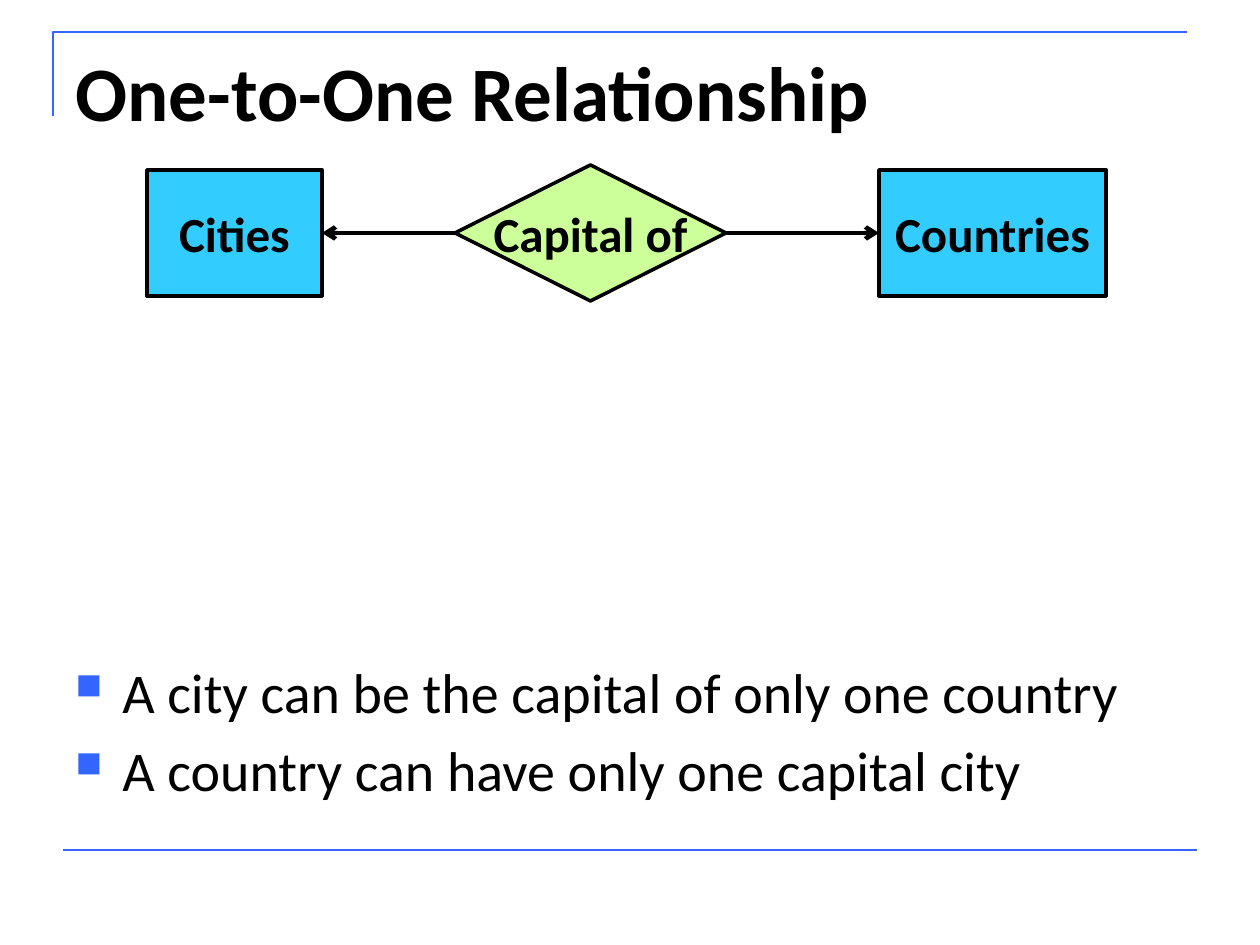
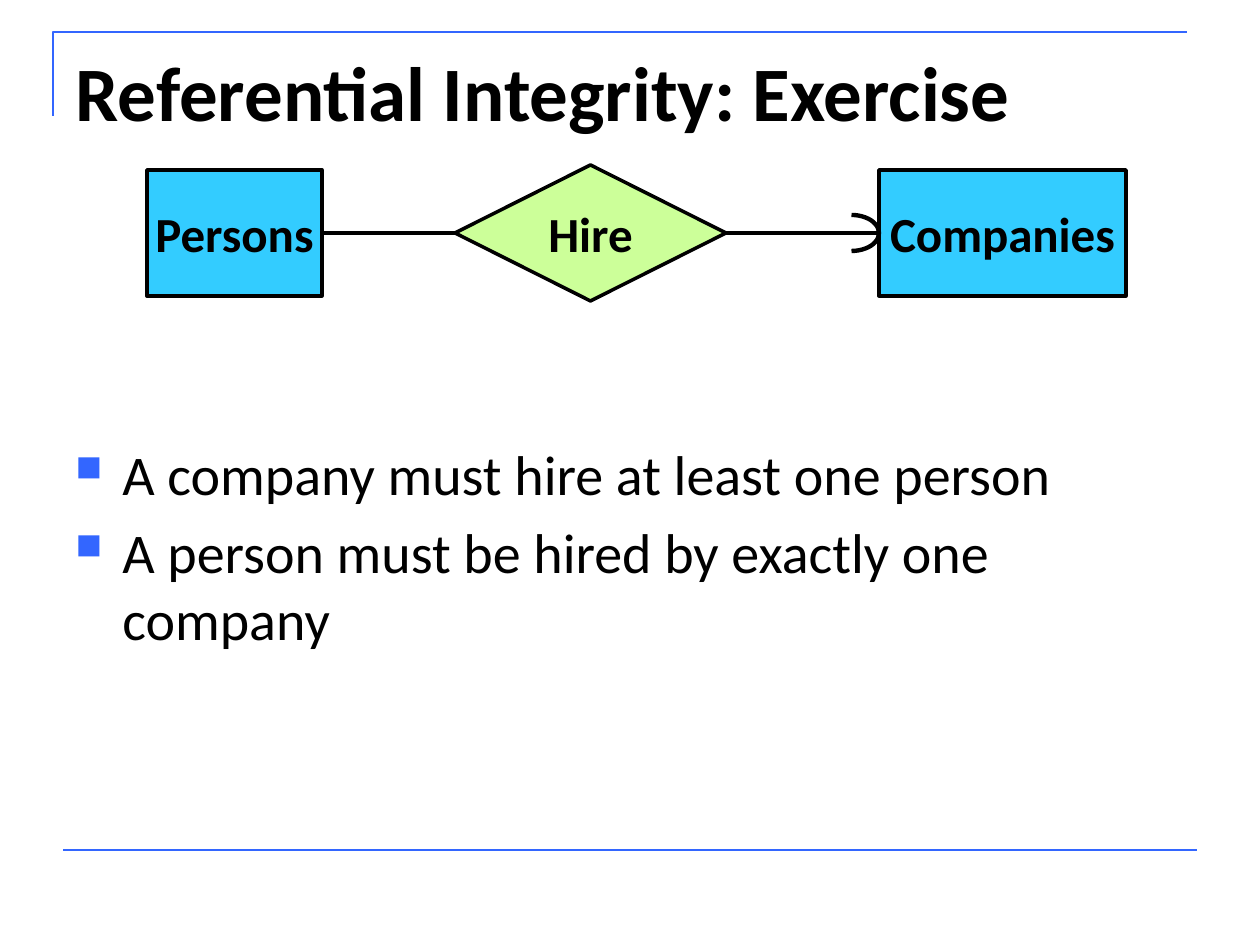
from lxml import etree
from pptx import Presentation
from pptx import util as u
from pptx.dml.color import RGBColor
from pptx.enum import shapes, text
from pptx.oxml.ns import qn

PX = u.Inches(1) / 126
FONT = "Calibri"
ACCENT = RGBColor(0x33, 0x66, 0xFF)
ENTITY = RGBColor(0x33, 0xCC, 0xFF)
RELATION = RGBColor(0xCC, 0xFF, 0x99)
BLACK = RGBColor(0, 0, 0)
FRAME_BOX = (53, 32, 1134, 84)
TITLE_BOX = (63, 38, 1134, 158)
DIAGRAM_BOX = (147, 165, 980, 136)
RULES_LEFT, RULES_WIDTH, RULES_BOTTOM = 63, 1134, 845
FOOTER_Y = 850


def px(*lengths):
    """Turn pixel lengths into EMU."""
    return [u.Emu(round(length * PX)) for length in lengths]


def write(frame, words, size, bold=False, align=text.PP_ALIGN.LEFT,
          anchor=text.MSO_ANCHOR.TOP, wrap=True, before=0):
    """Write one paragraph per item of words into a text frame."""
    frame.auto_size = text.MSO_AUTO_SIZE.NONE
    frame.word_wrap = wrap
    frame.vertical_anchor = anchor
    for index, line in enumerate(words):
        paragraph = frame.add_paragraph() if index else frame.paragraphs[0]
        paragraph.alignment = align
        paragraph.space_before = u.Pt(before)
        run = paragraph.add_run()
        run.text = line
        run.font.name, run.font.size, run.font.bold = FONT, u.Pt(size), bold
        run.font.color.rgb = BLACK


def outline(part, color, width):
    """Set the colour and width of a line."""
    part.line.color.rgb = color
    part.line.width = u.Pt(width)


def add_line(slide, start, end, color=BLACK, width=2.5, arrow=False):
    """Draw a straight line, with an arrowhead at its end if asked."""
    line = slide.shapes.add_connector(
        shapes.MSO_CONNECTOR.STRAIGHT, *px(*start, *end))
    outline(line, color, width)
    properties = line._element.spPr
    if arrow:
        etree.SubElement(properties.find(qn("a:ln")), qn("a:tailEnd"), type="arrow")
    etree.SubElement(properties, qn("a:effectLst"))


def add_node(slide, kind, box, label, fill):
    """Draw a labelled entity or relationship."""
    node = slide.shapes.add_shape(kind, *px(*box))
    node.shadow.inherit = False
    node.fill.solid()
    node.fill.fore_color.rgb = fill
    outline(node, BLACK, 2)
    write(node.text_frame, [label], 28, bold=True, align=text.PP_ALIGN.CENTER,
          anchor=text.MSO_ANCHOR.MIDDLE, wrap=False)


def add_frame(slide, box):
    """Draw the corner rule above the title and the rule at the foot."""
    left, top, width, height = box
    builder = slide.shapes.build_freeform(left, top + height, scale=PX)
    builder.add_line_segments([(left, top), (left + width, top)], close=False)
    corner = builder.convert_to_shape()
    corner.shadow.inherit = False
    corner.fill.background()
    outline(corner, ACCENT, 1.5)
    add_line(slide, (63, FOOTER_Y), (63 + width, FOOTER_Y), ACCENT, 1.5)


def add_title(slide, box, heading):
    """Place and format the title placeholder."""
    title = slide.shapes.title
    title.left, title.top, title.width, title.height = px(*box)
    write(title.text_frame, [heading], 44, bold=True)


def add_rules(slide, box, rules):
    """List the rules with square bullets."""
    listing = slide.shapes.add_textbox(*px(*box)).text_frame
    write(listing, rules, 32, before=6.4)
    indent = px(47)[0]
    for paragraph in listing.paragraphs:
        properties = paragraph._p.get_or_add_pPr()
        properties.set("marL", str(indent))
        properties.set("indent", str(-indent))
        color = etree.SubElement(properties, qn("a:buClr"))
        etree.SubElement(color, qn("a:srgbClr"), val=str(ACCENT))
        etree.SubElement(properties, qn("a:buSzPct"), val="65000")
        etree.SubElement(properties, qn("a:buChar"), char="■")


def add_round_end(slide, tip_x, tip_y):
    """Draw the half-round end that marks exactly one."""
    width, height = 55, 36
    arc = slide.shapes.add_shape(
        shapes.MSO_SHAPE.ARC, *px(tip_x - width, tip_y - height // 2, width, height))
    arc.adjustments[0], arc.adjustments[1] = 162, 54
    arc.shadow.inherit = False
    arc.fill.background()
    outline(arc, BLACK, 2.5)


def add_diagram(slide, box, names, right_width, one_to_one):
    """Draw two entities joined by a relationship."""
    left, top, _, height = box
    source, relation, target = names
    source_right, diamond_left = left + 175, left + 308
    diamond_right, target_left = diamond_left + 271, left + 732
    middle, entity_height = top + height // 2, 126
    entity_top = middle - entity_height // 2
    rectangle, diamond = shapes.MSO_SHAPE.RECTANGLE, shapes.MSO_SHAPE.DIAMOND
    add_node(slide, rectangle, (target_left, entity_top, right_width, entity_height),
             target, ENTITY)
    add_node(slide, rectangle, (left, entity_top, source_right - left, entity_height),
             source, ENTITY)
    add_node(slide, diamond, (diamond_left, top, diamond_right - diamond_left, height),
             relation, RELATION)
    add_line(slide, (diamond_right, middle), (target_left, middle), arrow=one_to_one)
    add_line(slide, (diamond_left, middle), (source_right, middle),
             width=2.5 if one_to_one else 2, arrow=one_to_one)
    if not one_to_one:
        add_round_end(slide, target_left, middle)


def add_relationship_slide(deck, heading, names, right_width, one_to_one,
                           rules_top, rules):
    """Build a slide with a title, a relationship diagram and its rules."""
    slide = deck.slides.add_slide(deck.slide_layouts[5])
    add_frame(slide, FRAME_BOX)
    add_title(slide, TITLE_BOX, heading)
    add_rules(slide, (RULES_LEFT, rules_top, RULES_WIDTH, RULES_BOTTOM - rules_top),
              rules)
    add_diagram(slide, DIAGRAM_BOX, names, right_width, one_to_one)


def main():
    """Build and save the deck."""
    deck = Presentation()
    deck.slide_width, deck.slide_height = px(1260, 945)
    add_relationship_slide(
        deck, "One-to-One Relationship", ("Cities", "Capital of", "Countries"),
        227, True, 651,
        ["A city can be the capital of only one country",
         "A country can have only one capital city"])
    add_relationship_slide(
        deck, "Referential Integrity: Exercise", ("Persons", "Hire", "Companies"),
        247, False, 433,
        ["A company must hire at least one person",
         "A person must be hired by exactly one company"])
    deck.save("out.pptx")


if __name__ == "__main__":
    main()
